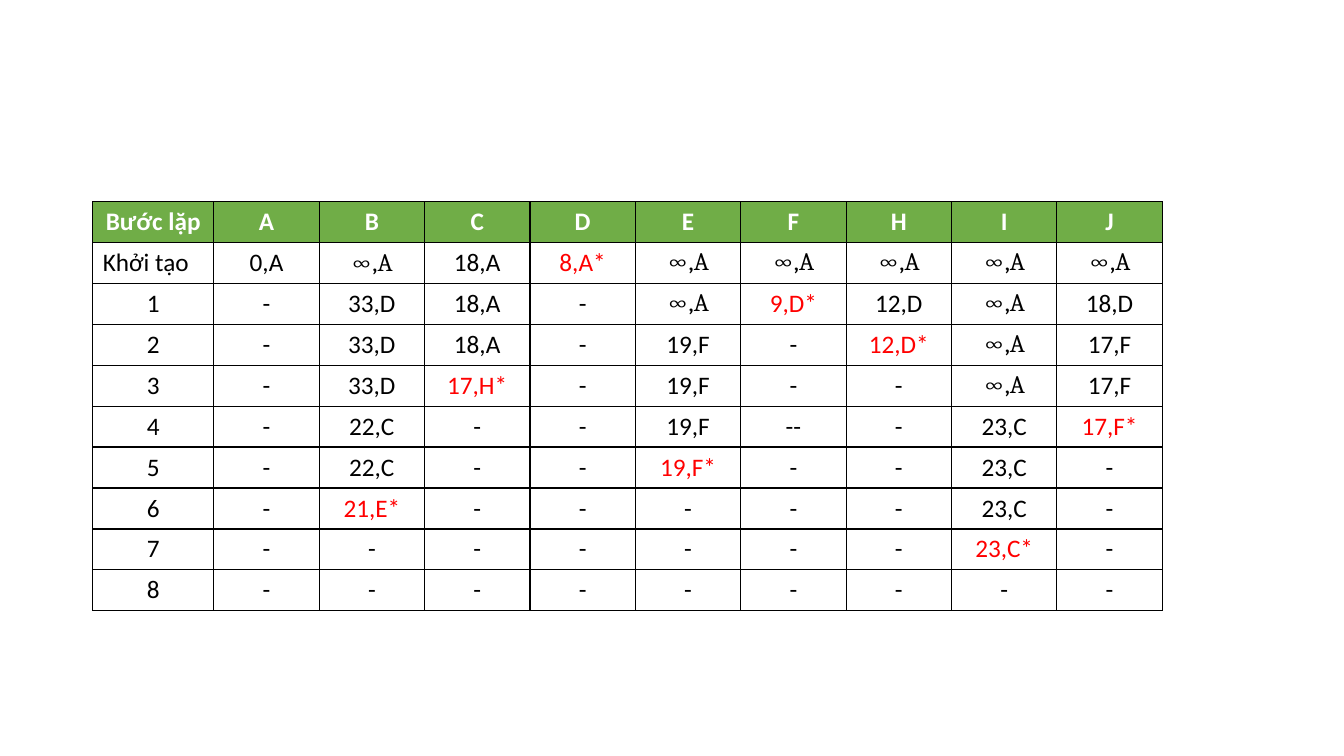
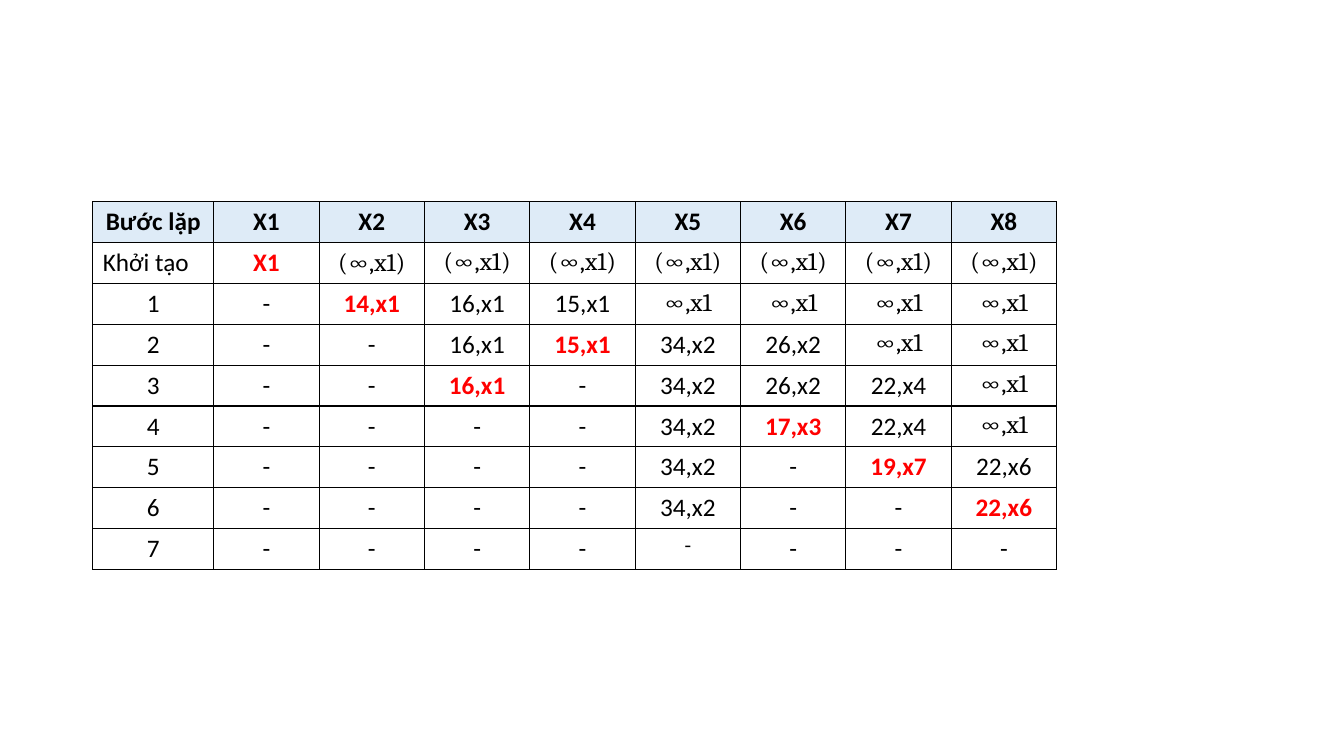
from dataclasses import dataclass
from pptx import Presentation
from pptx.dml.color import RGBColor
from pptx.enum.text import MSO_ANCHOR, PP_ALIGN
from pptx.oxml import parse_xml
from pptx.oxml.ns import nsdecls
from pptx.util import Inches, Pt


@dataclass(frozen=True)
class Theme:
    ink: str = "000000"
    white: str = "FFFFFF"
    green: str = "70AD47"
    pale: str = "DEEBF7"
    pick: str = "FF0000"
    font: str = "Calibri"
    math: str = "Cambria"
    serif: str = "Times New Roman"
    size: int = 18
    small: int = 14
    line: int = 1


THEME = Theme()
LEFT, TOP, FIRST = Inches(0.92), Inches(2), Inches(1.2)

# Node columns, one line per step; the step labels are added by rule
NODES = """
A B C D E F H I J
0,A ∞,A 18,A 8,A* ∞,A ∞,A ∞,A ∞,A ∞,A
- 33,D 18,A - ∞,A 9,D* 12,D ∞,A 18,D
- 33,D 18,A - 19,F - 12,D* ∞,A 17,F
- 33,D 17,H* - 19,F - - ∞,A 17,F
- 22,C - - 19,F -- - 23,C 17,F*
- 22,C - - 19,F* - - 23,C -
- 21,E* - - - - - 23,C -
- - - - - - - 23,C* -
- - - - - - - - -
"""
STEPS = """
X1 X2 X3 X4 X5 X6 X7 X8
X1 (∞,x1) (∞,x1) (∞,x1) (∞,x1) (∞,x1) (∞,x1) (∞,x1)
- 14,x1 16,x1 15,x1 ∞,x1 ∞,x1 ∞,x1 ∞,x1
- - 16,x1 15,x1 34,x2 26,x2 ∞,x1 ∞,x1
- - 16,x1 - 34,x2 26,x2 22,x4 ∞,x1
- - - - 34,x2 17,x3 22,x4 ∞,x1
- - - - 34,x2 - 19,x7 22,x6
- - - - 34,x2 - - 22,x6
- - - - - - - -
"""


def read(text):
    rows = [line.split() for line in text.strip().splitlines()]
    heads = ["Bước lặp", "Khởi tạo", *map(str, range(1, len(rows) - 1))]
    return [[head, *row] for head, row in zip(heads, rows)]


def frame(cell):
    """Draw the four cell borders."""
    for side in ("lnL", "lnR", "lnT", "lnB"):
        cell._tc.get_or_add_tcPr().append(parse_xml(
            f'<a:{side} {nsdecls("a")} w="{Pt(THEME.line)}"><a:solidFill>'
            f'<a:srgbClr val="{THEME.ink}"/></a:solidFill></a:{side}>'))


def write(cell, text, color, bold=False, align=PP_ALIGN.CENTER):
    para = cell.text_frame.paragraphs[0]
    para.alignment = align
    run = para.add_run()
    run.text = text
    font = run.font
    font.name = THEME.math if "∞" in text else THEME.font
    font.size = Pt(THEME.size)
    font.bold = bold
    font.color.rgb = RGBColor.from_string(color)


def add_grid(deck, rows, width, height, fill, head, picks, strong):
    """Add a slide with a step table; picks gives the red column per step."""
    slide = deck.slides.add_slide(deck.slide_layouts[6])
    count = len(rows[0])
    grid = slide.shapes.add_table(
        len(rows), count, LEFT, TOP, Inches(width), Inches(height)).table
    grid.horz_banding = False
    for c, col in enumerate(grid.columns):
        col.width = int((Inches(width) - FIRST) / (count - 1)) if c else FIRST
    reds = set(enumerate(picks, 1))
    for r, row in enumerate(rows):
        for c, text in enumerate(row):
            cell = grid.cell(r, c)
            frame(cell)
            if r == 0:
                cell.fill.solid()
                cell.fill.fore_color.rgb = RGBColor.from_string(fill)
                write(cell, text, head, True)
            else:
                cell.fill.background()
                red = (r, c) in reds
                align = PP_ALIGN.LEFT if (r, c) == (1, 0) else PP_ALIGN.CENTER
                write(cell, text, THEME.pick if red else THEME.ink,
                      red and strong, align)
    grid.cell(1, 2).vertical_anchor = MSO_ANCHOR.MIDDLE
    return grid


def main():
    deck = Presentation()
    deck.slide_width, deck.slide_height = Inches(13.33), Inches(7.5)

    # Nodes A to J
    add_grid(deck, read(NODES), 10.61, 4.06, THEME.green, THEME.white,
             (4, 6, 7, 3, 9, 5, 2, 8), False)

    # Nodes X1 to X8, with one small serif dash in the last row
    grid = add_grid(deck, read(STEPS), 9.56, 3.65, THEME.pale, THEME.ink,
                    (1, 2, 4, 3, 6, 7, 8), True)
    font = grid.cell(8, 5).text_frame.paragraphs[0].runs[0].font
    font.name, font.size = THEME.serif, Pt(THEME.small)

    deck.save("out.pptx")


main()
